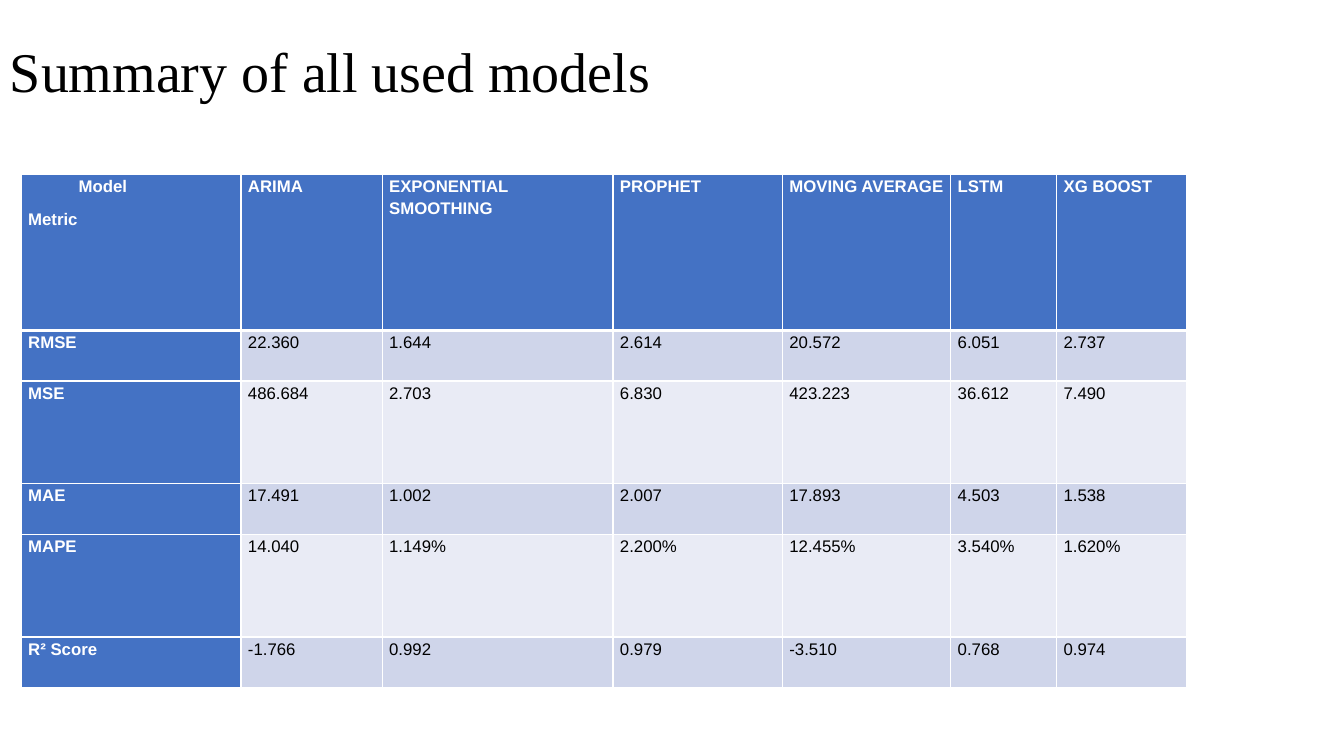
from lxml import etree
from pptx import Presentation
from pptx.dml.color import RGBColor
from pptx.enum.text import MSO_ANCHOR, PP_ALIGN
from pptx.oxml.ns import qn
from pptx.util import Inches, Pt

MIDDLE = MSO_ANCHOR.MIDDLE
LEFT, JUSTIFY = PP_ALIGN.LEFT, PP_ALIGN.JUSTIFY

COLORS = {"text": "000000", "white": "FFFFFF", "accent": "4472C4",
          "band_dark": "CFD5EA", "band_light": "E9EBF5"}

COLUMN_WIDTHS = [2.18, 1.4, 2.29, 1.68, 1.67, 1.05, 1.29]
ROW_HEIGHTS = [1.55, 0.5, 1.02, 0.5, 1.02, 0.5]
MODEL_SCORES = [
    ["Model\nMetric", "ARIMA", "EXPONENTIAL SMOOTHING", "PROPHET",
     "MOVING AVERAGE", "LSTM", "XG BOOST"],
    ["RMSE", "22.360", "1.644", "2.614", "20.572", "6.051", "2.737"],
    ["MSE", "486.684", "2.703", "6.830", "423.223", "36.612", "7.490"],
    ["MAE", "17.491", "1.002", "2.007", "17.893", "4.503", "1.538"],
    ["MAPE", "14.040", "1.149%", "2.200%", "12.455%", "3.540%", "1.620%"],
    ["R² Score", "-1.766", "0.992", "0.979", "-3.510", "0.768", "0.974"],
]


class SlideBuilder:
    title_font = "Times New Roman"
    table_font = "Arial"

    def __init__(self, slide):
        self.slide = slide

    def format_runs(self, paragraph, font_name, size, color, bold=False):
        for run in paragraph.runs:
            run.font.name = font_name
            run.font.size = Pt(size)
            run.font.bold = bold
            run.font.color.rgb = RGBColor.from_string(COLORS[color])

    def title(self, text, left, top, width, height):
        shape = self.slide.shapes.add_textbox(
            Inches(left), Inches(top), Inches(width), Inches(height))
        text_frame = shape.text_frame
        text_frame.word_wrap = True
        text_frame.vertical_anchor = MIDDLE
        text_frame.text = text
        paragraph = text_frame.paragraphs[0]
        paragraph.line_spacing = 0.9
        self.format_runs(paragraph, self.title_font, 40, "text")

    def cell_borders(self, cell, top, bottom):
        properties = cell._tc.get_or_add_tcPr()
        for side, points in (("L", 1), ("R", 1), ("T", top), ("B", bottom)):
            line = etree.SubElement(properties, qn(f"a:ln{side}"), w=str(Pt(points)))
            fill = etree.SubElement(line, qn("a:solidFill"))
            etree.SubElement(fill, qn("a:srgbClr"), val=COLORS["white"])

    def cell(self, cell, text, fill, color, bold):
        cell.margin_left = cell.margin_right = Inches(0.07)
        cell.margin_top = cell.margin_bottom = 0
        cell.fill.solid()
        cell.fill.fore_color.rgb = RGBColor.from_string(COLORS[fill])
        cell.text_frame.text = text
        for paragraph in cell.text_frame.paragraphs:
            paragraph.alignment = JUSTIFY
            paragraph.line_spacing = 1.15
            paragraph.space_after = Pt(8)
            self.format_runs(paragraph, self.table_font, 12, color, bold)

    def table(self, rows, left, top, column_widths, row_heights):
        table = self.slide.shapes.add_table(
            len(rows), len(column_widths), Inches(left), Inches(top),
            Inches(sum(column_widths)), Inches(sum(row_heights))).table
        table.first_col = True
        for column, width in zip(table.columns, column_widths):
            column.width = Inches(width)
        for row, height in zip(table.rows, row_heights):
            row.height = Inches(height)
        for row_index, values in enumerate(rows):
            band = "band_dark" if row_index % 2 else "band_light"
            for column_index, text in enumerate(values):
                cell = table.cell(row_index, column_index)
                is_header = row_index == 0 or column_index == 0
                # The line under the header row is thicker
                self.cell_borders(cell, top=3 if row_index == 1 else 1,
                                  bottom=3 if row_index == 0 else 1)
                self.cell(cell, text, "accent" if is_header else band,
                          "white" if is_header else "text", is_header)
        return table


def main():
    presentation = Presentation()
    presentation.slide_width = Inches(13.33)
    presentation.slide_height = Inches(7.5)
    slide = presentation.slides.add_slide(presentation.slide_layouts[6])
    builder = SlideBuilder(slide)

    # Title
    builder.title("Summary of all used models", 0, 0, 13.33, 1.48)

    # Model scores
    table = builder.table(MODEL_SCORES, 0.21, 1.73, COLUMN_WIDTHS, ROW_HEIGHTS)

    # Corner cell: indented column caption above the row caption
    model_caption, metric_caption = table.cell(0, 0).text_frame.paragraphs
    model_caption._p.get_or_add_pPr().set("marL", str(Inches(0.5)))
    metric_caption.alignment = LEFT

    presentation.save("out.pptx")


if __name__ == "__main__":
    main()
